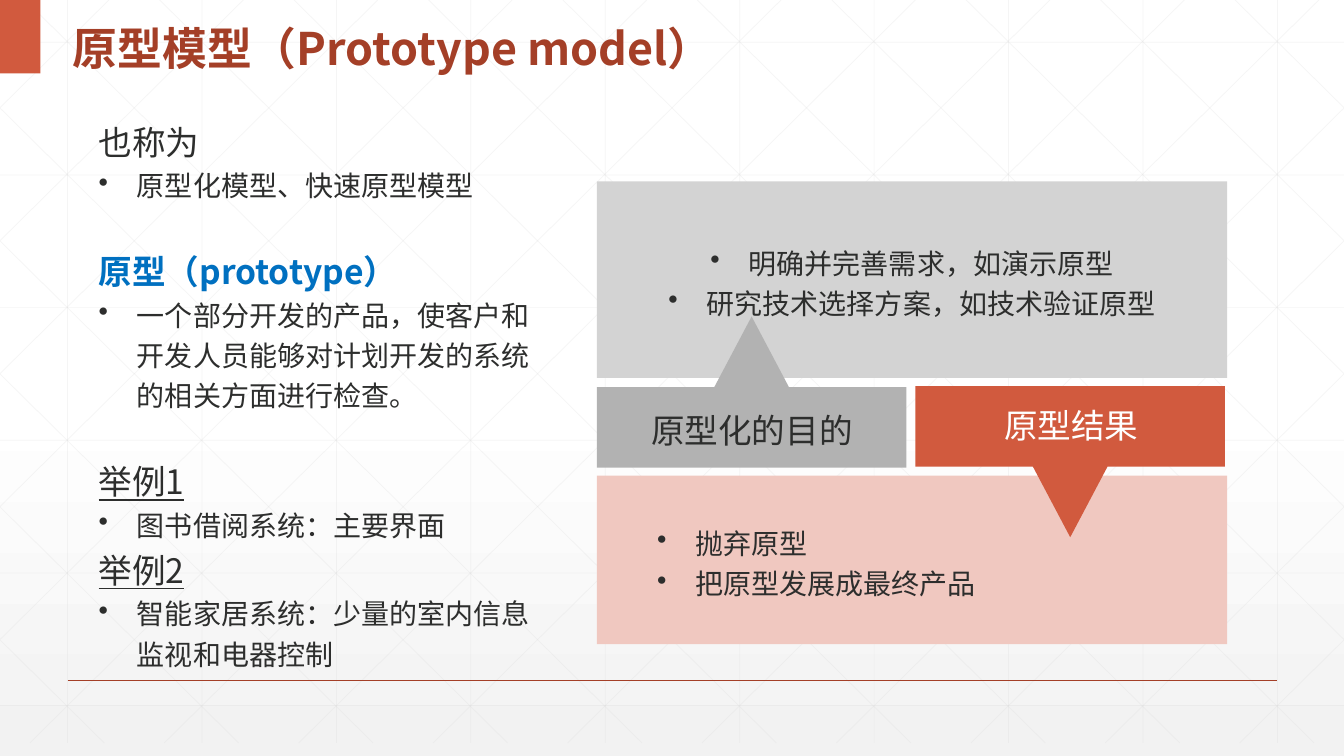
from lxml import etree
from pptx import Presentation
from pptx.dml.color import RGBColor
from pptx.enum.shapes import MSO_CONNECTOR, MSO_SHAPE
from pptx.enum.text import MSO_ANCHOR, MSO_AUTO_SIZE, PP_ALIGN
from pptx.oxml.ns import qn
from pptx.util import Inches, Pt

STRAIGHT = MSO_CONNECTOR.STRAIGHT
RECTANGLE = MSO_SHAPE.RECTANGLE
TOP, MIDDLE = MSO_ANCHOR.TOP, MSO_ANCHOR.MIDDLE
NO_FIT = MSO_AUTO_SIZE.NONE
LEFT, CENTER = PP_ALIGN.LEFT, PP_ALIGN.CENTER

WIDTH, HEIGHT = 13.33, 7.5
FONT = "Noto Sans CJK SC"
COLORS = {
    "white": "FFFFFF", "mist": "F2F2F2", "grid": "D9D9D9", "ink": "2D2E2D",
    "brick": "A43F27", "orange": "D15A3E", "pink": "F0C8C0",
    "silver": "D3D3D3", "gray": "B2B2B2", "blue": "0070C0",
}


def rgb(name):
    return RGBColor.from_string(COLORS[name])


def apply(target, values):
    for name, value in values.items():
        setattr(target, name, value)


class SlideBuilder:
    heading = {"size": Pt(24)}
    body = {"size": Pt(20)}

    def __init__(self, deck):
        self.page = deck.slides.add_slide(deck.slide_layouts[5])
        self.shapes = self.page.shapes

    def background(self):
        fill = self.page.background.fill
        fill.gradient()
        fill.gradient_angle = 270
        for stop, position, color in zip(fill.gradient_stops, (0.53, 1), ("white", "mist")):
            stop.position = position
            stop.color.rgb = rgb(color)

    def line(self, start, end, color, width, opacity=None):
        points = [Inches(value) for value in (*start, *end)]
        connector = self.shapes.add_connector(STRAIGHT, *points)
        connector.line.color.rgb = rgb(color)
        connector.line.width = Pt(width)
        properties = connector.element.spPr
        if opacity is not None:
            tint = properties.find(".//" + qn("a:srgbClr"))
            etree.SubElement(tint, qn("a:alpha"), val=str(opacity * 1000))
        etree.SubElement(properties, qn("a:effectLst"))

    def paint(self, shape, color):
        shape.shadow.inherit = False
        shape.fill.solid()
        shape.fill.fore_color.rgb = rgb(color)
        shape.line.fill.background()

    def panel(self, frame, color):
        box = self.shapes.add_shape(RECTANGLE, *map(Inches, frame))
        self.paint(box, color)
        return box

    def paragraph(self, para, text, font, color="ink", bullet=None, **layout):
        apply(para, layout)
        if bullet is not None:
            properties = para._p.get_or_add_pPr()
            properties.set("marL", str(Inches(bullet)))
            properties.set("indent", str(Inches(-0.38)))
            etree.SubElement(properties, qn("a:buChar"), char="•")
        span = para.add_run()
        span.text = text
        apply(span.font, font)
        span.font.color.rgb = rgb(color)
        span.font.name = FONT
        etree.SubElement(span._r.get_or_add_rPr(), qn("a:ea"), typeface=FONT)

    def fill_text(self, box, items, **frame_format):
        frame = box.text_frame
        apply(frame, {"word_wrap": True, **frame_format})
        for index, item in enumerate(items):
            para = frame.add_paragraph() if index else frame.paragraphs[0]
            self.paragraph(para, **item)

    def text(self, frame, items, **frame_format):
        box = self.shapes.add_textbox(*map(Inches, frame))
        self.fill_text(box, items, **frame_format)

    def title(self, frame, text):
        box = self.shapes.title
        apply(box, dict(zip(("left", "top", "width", "height"), map(Inches, frame))))
        item = {"text": text, "font": {"size": Pt(32), "bold": True},
                "color": "brick", "alignment": LEFT, "line_spacing": 1.3}
        self.fill_text(box, [item], vertical_anchor=TOP, auto_size=NO_FIT)
        box.element.getparent().append(box.element)

    def callout(self, left, base, direction, color):
        width, depth, point, half = 3.07, 0.8, 0.7, 0.37
        middle, far = left + width / 2, base - direction * depth
        outline = [(middle, base + direction * point), (middle + half, base),
                   (left + width, base), (left + width, far), (left, far),
                   (left, base), (middle - half, base)]
        corners = [(Inches(x), Inches(y)) for x, y in outline]
        builder = self.shapes.build_freeform(*corners[0])
        builder.add_line_segments(corners[1:], close=True)
        self.paint(builder.convert_to_shape(), color)

    def grid(self):
        bottom, pitch, run = 7.37, 4 / 3, 7.45
        faint = {"color": "grid", "width": 0.5, "opacity": 25}
        for column in range(10):
            x = 0.67 + column * pitch
            self.line((x, 0), (x, bottom), **faint)
        for row in range(6):
            y = 0.42 + row * 1.316
            self.line((0, y), (WIDTH, y), **faint)
        for step in range(-5, 10):
            origin = 0.25 + step * pitch
            ends = [(x, (x - origin) * bottom / run)
                    for x in (max(origin, 0), min(origin + run, WIDTH))]
            self.line(*ends, **faint)
            self.line(*[(WIDTH - x, y) for x, y in ends], **faint)


def main():
    deck = Presentation()
    deck.slide_width, deck.slide_height = Inches(WIDTH), Inches(HEIGHT)
    slide = SlideBuilder(deck)
    slide.background()
    slide.grid()
    slide.line((0.67, 6.75), (12.67, 6.75), "brick", 1)
    slide.panel((0, 0, 0.4, 0.73), "orange")

    heading, body = slide.heading, slide.body
    underlined = {**heading, "underline": True}
    sections = [
        ("也称为", heading, "ink", 0, "原型化模型、快速原型模型"),
        ("原型（prototype）", {**heading, "bold": True}, "blue", 29,
         "一个部分开发的产品，使客户和开发人员能够对计划开发的系统的相关方面进行检查。"),
        ("举例1", underlined, "ink", 29, "图书借阅系统：主要界面"),
        ("举例2", underlined, "ink", 0, "智能家居系统：少量的室内信息监视和电器控制"),
    ]
    items = []
    for name, font, color, gap, detail in sections:
        items.append({"text": name, "font": font, "color": color,
                      "space_before": Pt(gap), "line_spacing": 1.2})
        items.append({"text": detail, "font": body, "bullet": 0.38, "line_spacing": 1.2})
    slide.text((0.88, 1.08, 4.71, 5.67), items)
    slide.title((0.62, 0, 8.91, 0.73), "原型模型（Prototype model）")

    panels = [
        (1.8, 1.95, "silver", {"bullet": 0.38, "alignment": CENTER},
         ["明确并完善需求，如演示原型", "研究技术选择方案，如技术验证原型"]),
        (4.72, 1.67, "pink", {"bullet": 0.88, "alignment": LEFT, "level": 1},
         ["抛弃原型", "把原型发展成最终产品"]),
    ]
    for top, height, color, layout, lines in panels:
        box = slide.panel((5.92, top, 6.25, height), color)
        items = [{"text": line, "font": body, "line_spacing": 1.2, **layout} for line in lines]
        slide.fill_text(box, items, vertical_anchor=MIDDLE)

    callouts = [
        (5.92, 3.84, -1, "gray", (6.36, 4.02, 2.2, 0.5), "原型化的目的", "ink"),
        (9.08, 4.63, 1, "orange", (9.86, 3.97, 1.53, 0.5), "原型结果", "white"),
    ]
    for left, base, direction, fill, frame, label, color in callouts:
        slide.callout(left, base, direction, fill)
        slide.text(frame, [{"text": label, "font": heading, "color": color}], word_wrap=False)

    deck.save("out.pptx")


if __name__ == "__main__":
    main()
